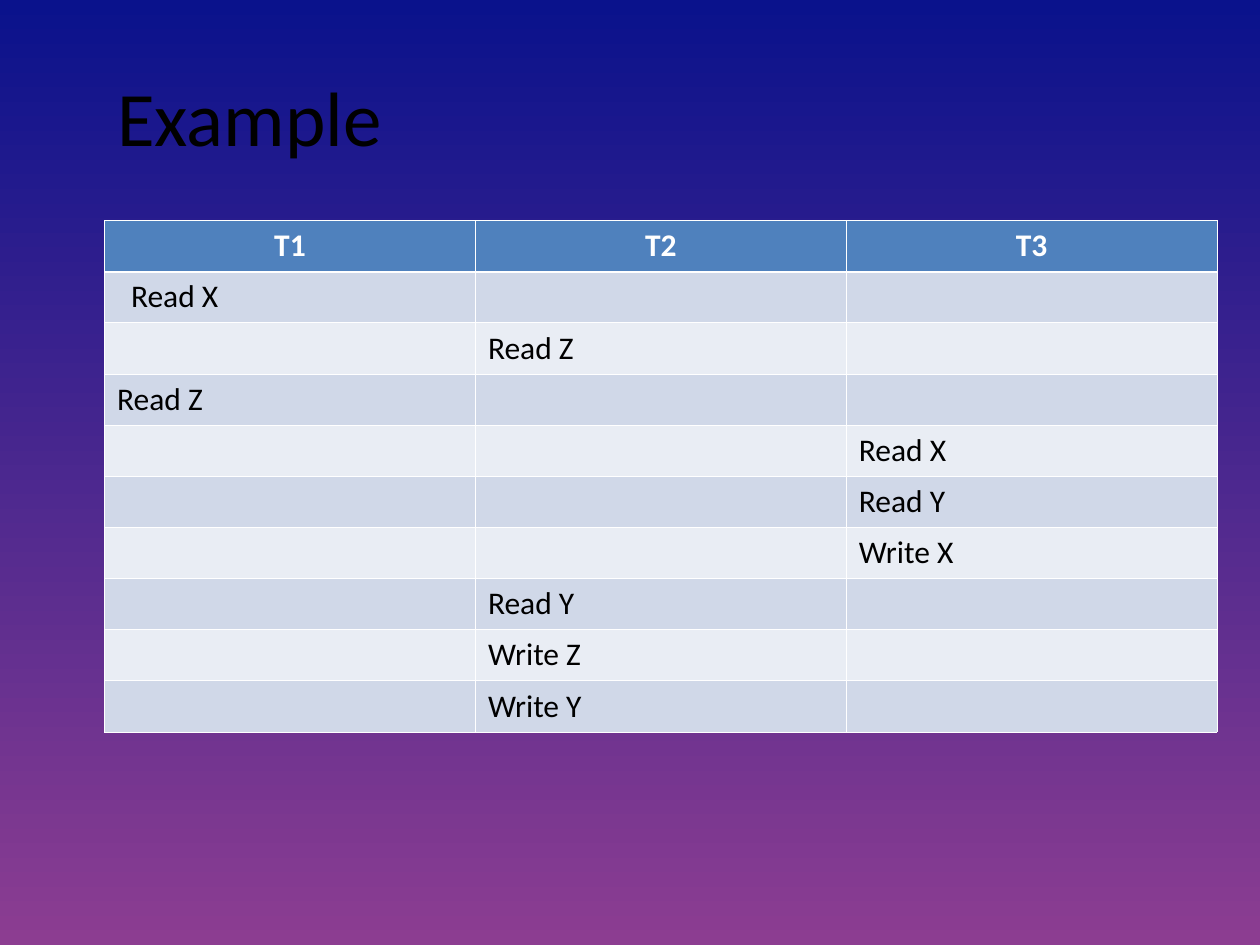
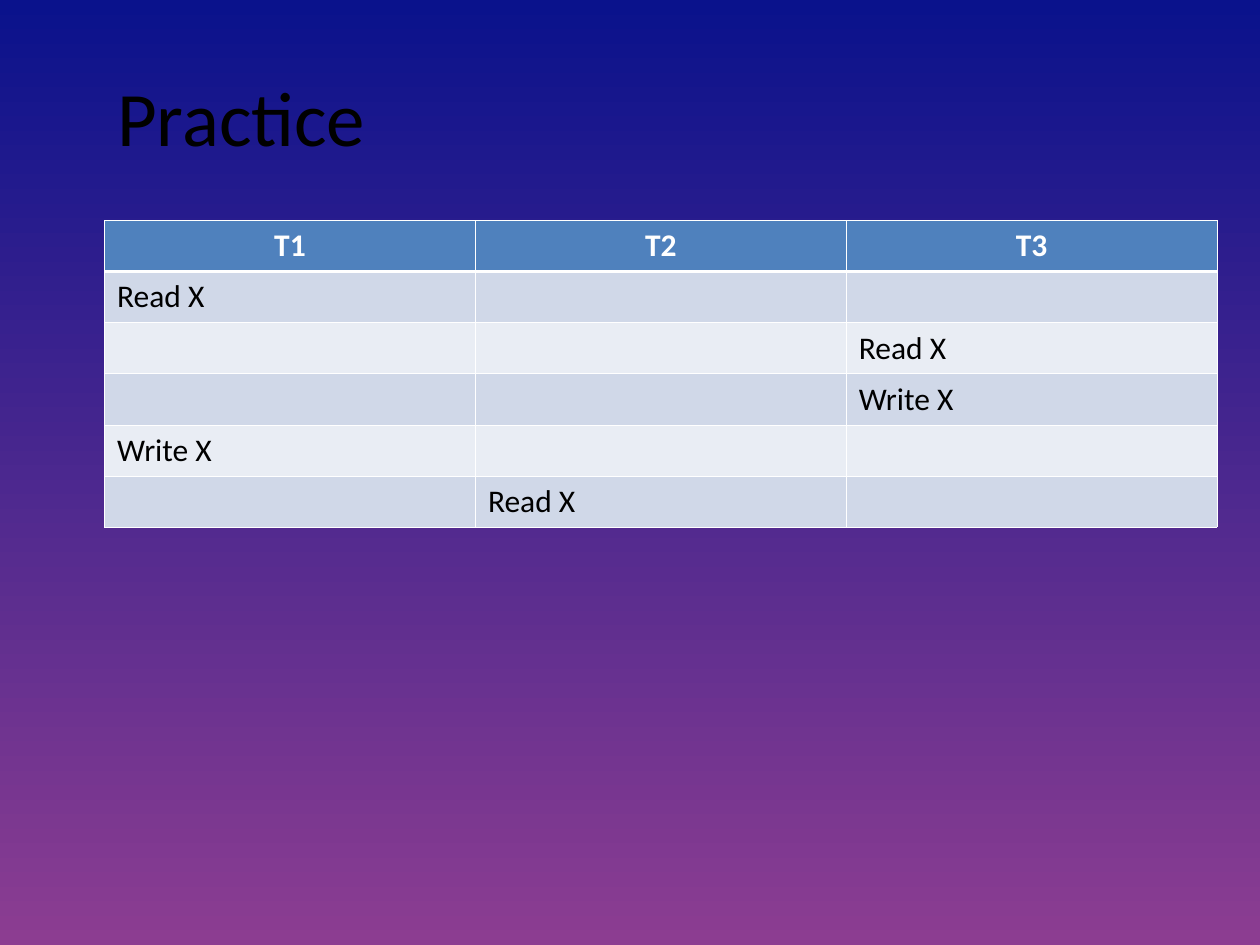
from dataclasses import dataclass
from typing import Any

from lxml.etree import SubElement
from pptx import Presentation
from pptx.dml.color import RGBColor
from pptx.enum.text import MSO_ANCHOR, PP_ALIGN
from pptx.oxml.ns import qn
from pptx.util import Inches, Pt

NIGHT = RGBColor(0x0A, 0x12, 0x8C)
PURPLE = RGBColor(0x8C, 0x3D, 0x91)
BLACK = RGBColor(0x00, 0x00, 0x00)
WHITE = RGBColor(0xFF, 0xFF, 0xFF)
HEADER_BLUE = RGBColor(0x4F, 0x81, 0xBD)
BANDS = (RGBColor(0xD0, 0xD8, 0xE8), RGBColor(0xE9, 0xED, 0xF4))

FONT = "Calibri"
TITLE_FONT = {"name": FONT, "size": Pt(44), "bold": False}
HEADER_FONT = {"name": FONT, "size": Pt(18), "bold": True}
BODY_FONT = {"name": FONT, "size": Pt(18), "bold": False}

LEFT, WIDTH = Inches(0.83), Inches(8.83)
TITLE_BOX = {"left": LEFT, "top": Inches(0.29), "width": WIDTH, "height": Inches(1.25)}
TABLE_TOP = Inches(1.75)
THIN, THICK = Pt(0.45), Pt(1.47)
TRANSACTIONS = ("T1", "T2", "T3")


@dataclass(frozen=True)
class Step:
    transaction: str
    operation: str
    indent: float = 0


@dataclass(frozen=True)
class Schedule:
    title: str
    height: float
    steps: tuple[Step, ...]


SCHEDULES = (
    Schedule("Example", 4.06, (
        Step("T1", "Read X", indent=0.11),
        Step("T2", "Read Z"),
        Step("T1", "Read Z"),
        Step("T3", "Read X"),
        Step("T3", "Read Y"),
        Step("T3", "Write X"),
        Step("T2", "Read Y"),
        Step("T2", "Write Z"),
        Step("T2", "Write Y"),
    )),
    Schedule("Practice", 2.43, (
        Step("T1", "Read X"),
        Step("T3", "Read X"),
        Step("T3", "Write X"),
        Step("T1", "Write X"),
        Step("T2", "Read X"),
    )),
)


def set_attrs(target: Any, values: dict[str, Any]) -> None:
    for name, value in values.items():
        setattr(target, name, value)


def set_background(prs: Any) -> None:
    """Put the vertical gradient on the master, so every slide inherits it."""
    fill = prs.slide_master.background.fill
    fill.gradient()
    fill.gradient_angle = 270
    for stop, color in zip(fill.gradient_stops, (NIGHT, PURPLE)):
        stop.color.rgb = color


def write(tf: Any, text: str, font: dict[str, Any], color: RGBColor,
          align: PP_ALIGN = PP_ALIGN.LEFT) -> None:
    p = tf.paragraphs[0]
    p.alignment = align
    r = p.add_run()
    r.text = text
    set_attrs(r.font, font)
    r.font.color.rgb = color


def style_cell(cell: Any, fill: RGBColor, top: int, bottom: int) -> None:
    """Draw the white borders, which must precede the fill in the XML."""
    tc_pr = cell._tc.get_or_add_tcPr()
    for side, width in (("L", THIN), ("R", THIN), ("T", top), ("B", bottom)):
        line = SubElement(tc_pr, qn(f"a:ln{side}"), w=str(width))
        solid = SubElement(line, qn("a:solidFill"))
        SubElement(solid, qn("a:srgbClr"), val=str(WHITE))
    cell.fill.solid()
    cell.fill.fore_color.rgb = fill


def add_title(s: Any, text: str) -> None:
    title = s.shapes.title
    set_attrs(title, TITLE_BOX)
    title.text_frame.vertical_anchor = MSO_ANCHOR.MIDDLE
    write(title.text_frame, text, TITLE_FONT, BLACK)


def add_schedule_table(s: Any, schedule: Schedule) -> None:
    table = s.shapes.add_table(len(schedule.steps) + 1, len(TRANSACTIONS), LEFT,
                               TABLE_TOP, WIDTH, Inches(schedule.height)).table
    table.horz_banding = False
    for col, name in enumerate(TRANSACTIONS):
        header = table.cell(0, col)
        style_cell(header, HEADER_BLUE, THIN, THICK)
        write(header.text_frame, name, HEADER_FONT, WHITE, PP_ALIGN.CENTER)
    for row, step in enumerate(schedule.steps, start=1):
        for col in range(len(TRANSACTIONS)):
            style_cell(table.cell(row, col), BANDS[(row - 1) % 2],
                       THICK if row == 1 else THIN, THIN)
        cell = table.cell(row, TRANSACTIONS.index(step.transaction))
        cell.margin_left = Inches(0.1 + step.indent)
        write(cell.text_frame, step.operation, BODY_FONT, BLACK)


def main() -> None:
    prs = Presentation()
    prs.slide_width, prs.slide_height = Inches(10), Inches(7.5)
    set_background(prs)
    title_only = prs.slide_layouts[5]
    for schedule in SCHEDULES:
        s = prs.slides.add_slide(title_only)
        add_title(s, schedule.title)
        add_schedule_table(s, schedule)
    prs.save("out.pptx")


if __name__ == "__main__":
    main()
